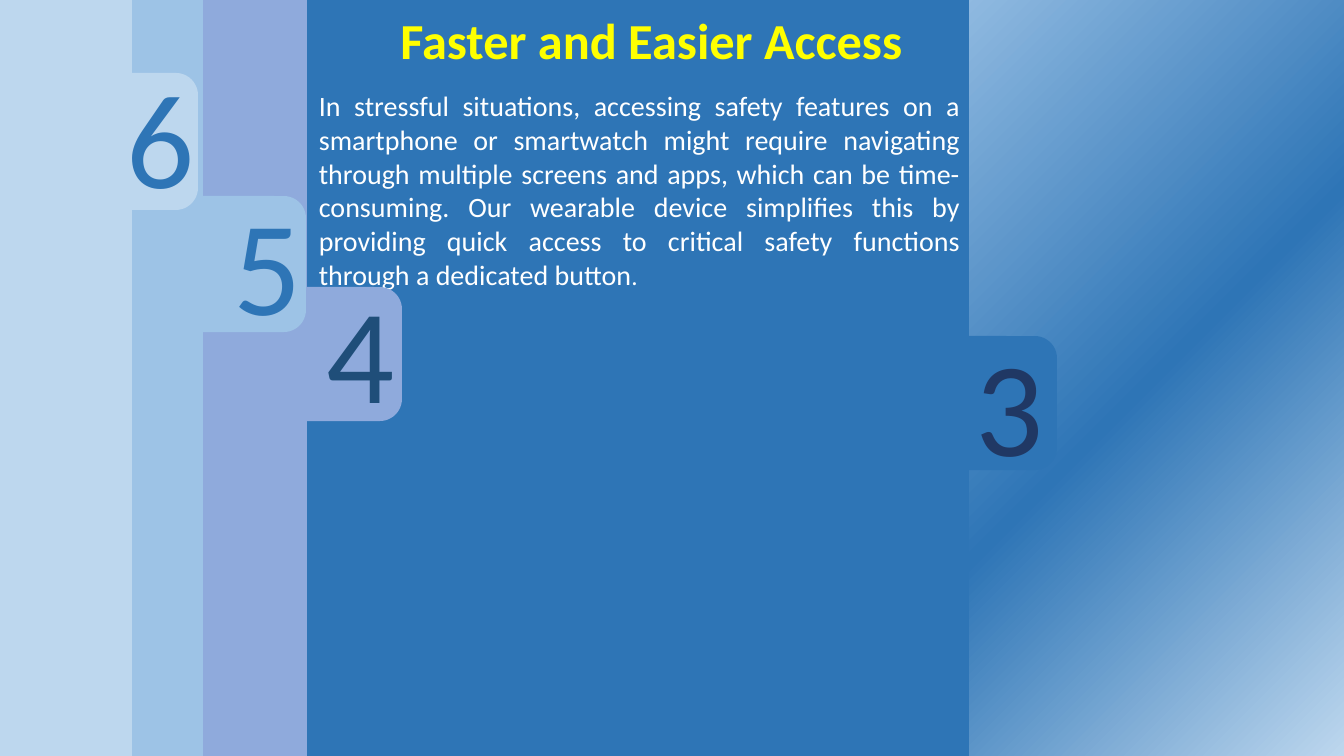
"""Build the "Faster and Easier Access" slide with numbered side tabs."""
from dataclasses import dataclass

import lxml.etree
import pptx
import pptx.dml.color
import pptx.enum.shapes
import pptx.enum.text
import pptx.oxml.ns
import pptx.util

EMU_PER_PX = 914400 / 100.8
SLIDE_WIDTH, SLIDE_HEIGHT = 1344, 756
PANEL_WIDTH = 1210
SHAPES = pptx.enum.shapes.MSO_SHAPE
ALIGN = pptx.enum.text.PP_ALIGN

TITLE = "Faster and Easier Access"
BODY = (
    "In stressful situations, accessing safety features on a smartphone or "
    "smartwatch might require navigating through multiple screens and apps, "
    "which can be time-consuming. Our wearable device simplifies this by "
    "providing quick access to critical safety functions through a dedicated "
    "button"
)


@dataclass(frozen=True)
class Theme:
    """Colours and type sizes of the slide."""

    font: str = "Calibri"
    deep: str = "2E75B6"
    violet: str = "8FAADC"
    sky: str = "9DC3E6"
    pale: str = "BDD7EE"
    navy: str = "203864"
    ink: str = "1F4E79"
    yellow: str = "FFFF00"
    white: str = "FFFFFF"
    number_size: int = 96
    title_size: int = 36
    body_size: int = 20
    stop_size: int = 18
    backdrop: tuple = (
        (0, "9DC3E6"), (0, "2E75B6"), (43, "9AC1E5"),
        (73, "2E75B6"), (100, "BDD7EE"),
    )


THEME = Theme()


def px(length):
    """Turn pixels into EMU."""
    return pptx.util.Emu(round(length * EMU_PER_PX))


def paint_background(slide):
    """Fill the background with the diagonal gradient."""
    fill = slide.background.fill
    fill.gradient()
    fill.gradient_angle = 315
    name = pptx.oxml.ns.qn
    stops = next(slide.element.iter(name("a:gsLst")))
    for stop in list(stops):
        stops.remove(stop)
    for position, colour in THEME.backdrop:
        stop = lxml.etree.SubElement(stops, name("a:gs"), pos=str(position * 1000))
        lxml.etree.SubElement(stop, name("a:srgbClr"), val=colour)


def add_block(slide, kind, place, colour):
    """Add a plain filled shape without outline."""
    block = slide.shapes.add_shape(kind, *map(px, place))
    block.shadow.inherit = False
    block.fill.solid()
    block.fill.fore_color.rgb = pptx.dml.color.RGBColor.from_string(colour)
    block.line.fill.background()


def style_span(span, size, colour, bold=False):
    """Set the font of one run."""
    span.font.name = THEME.font
    span.font.size = pptx.util.Pt(size)
    span.font.bold = bold
    span.font.color.rgb = pptx.dml.color.RGBColor.from_string(colour)


def add_text(slide, place, text, size, colour, align, bold=False):
    """Add a one-paragraph text box and return its paragraph."""
    box = slide.shapes.add_textbox(*map(px, place))
    box.text_frame.word_wrap = True
    box.text_frame.text = text
    para = box.text_frame.paragraphs[0]
    para.alignment = align
    style_span(para.runs[0], size, colour, bold)
    return para


def add_numbered_panel(slide, panel, tab, number_place, number,
                       fill, ink, align=ALIGN.CENTER):
    """Add a panel (right edge, top, height) with its rounded tab and number."""
    right, top, height = panel
    add_block(slide, SHAPES.ROUNDED_RECTANGLE, tab, fill)
    add_block(slide, SHAPES.RECTANGLE,
              (right - PANEL_WIDTH, top, PANEL_WIDTH, height), fill)
    add_text(slide, number_place, number, THEME.number_size, ink, align)


def main():
    """Build and save the deck."""
    deck = pptx.Presentation()
    deck.slide_width, deck.slide_height = px(SLIDE_WIDTH), px(SLIDE_HEIGHT)
    slide = deck.slides.add_slide(deck.slide_layouts[6])
    paint_background(slide)

    add_numbered_panel(slide, (969, 0, SLIDE_HEIGHT), (924, 336, 133, 134),
                       (966, 317, 84, 173), "3", THEME.deep, THEME.navy,
                       ALIGN.LEFT)
    add_text(slide, (324, 4, 655, 72), TITLE, THEME.title_size, THEME.yellow,
             ALIGN.CENTER, bold=True)
    para = add_text(slide, (309, 84, 661, 214), BODY, THEME.body_size,
                    THEME.white, ALIGN.JUSTIFY)
    full_stop = para.add_run()
    full_stop.text = "."
    style_span(full_stop, THEME.stop_size, THEME.white)

    add_numbered_panel(slide, (307, -2, 769), (269, 287, 133, 134),
                       (316, 264, 90, 173), "4", THEME.violet, THEME.ink)
    add_numbered_panel(slide, (203, -2, 766), (173, 196, 133, 136),
                       (223, 176, 90, 175), "5", THEME.sky, THEME.deep)
    add_numbered_panel(slide, (132, -5, 770), (65, 73, 133, 137),
                       (116, 49, 90, 176), "6", THEME.pale, THEME.deep)
    deck.save("out.pptx")


if __name__ == "__main__":
    main()
